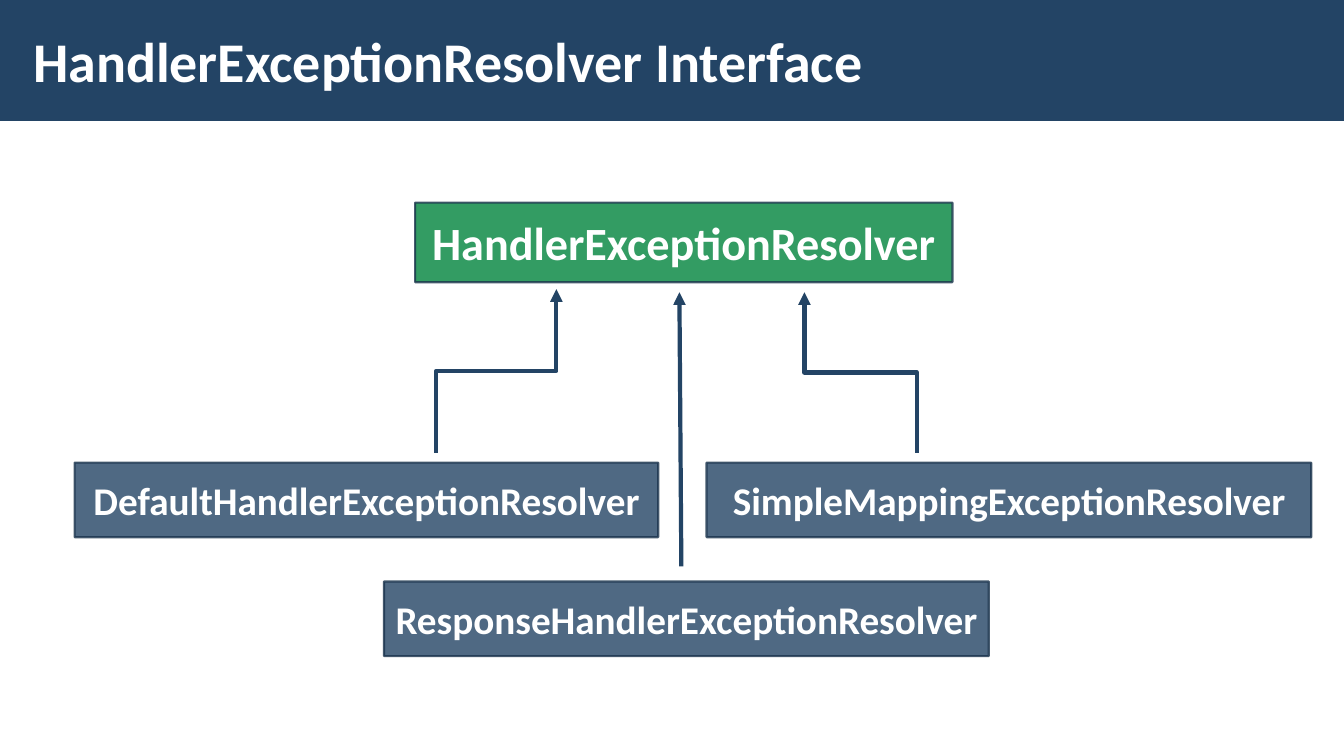
from lxml.etree import SubElement
from pptx import Presentation
from pptx.dml.color import RGBColor
from pptx.enum.shapes import MSO_CONNECTOR as Link, MSO_SHAPE as Shape
from pptx.enum.text import MSO_ANCHOR as Anchor, MSO_AUTO_SIZE as AutoSize, PP_ALIGN as Align
from pptx.oxml.ns import qn
from pptx.util import Pt

COLORS = {"navy": "234465", "green": "00843C", "border": "1A334C", "white": "FFFFFF"}


def paint(fill, color, opacity=100):
    fill.solid()
    fill.fore_color.rgb = RGBColor.from_string(COLORS[color])
    if opacity < 100:
        rgb = fill._xPr.find(qn("a:solidFill"))[0]
        SubElement(rgb, qn("a:alpha"), val=str(opacity * 1000))


def write(frame, text, size, align):
    frame.text = text
    for name, value in {"vertical_anchor": Anchor.MIDDLE, "auto_size": AutoSize.NONE,
                        "word_wrap": True}.items():
        setattr(frame, name, value)
    paragraph = frame.paragraphs[0]
    paragraph.alignment = align
    font = paragraph.runs[0].font
    for name, value in {"name": "Calibri", "size": Pt(size), "bold": True}.items():
        setattr(font, name, value)
    paint(font.fill, "white")


deck = Presentation()
deck.slide_width, deck.slide_height = Pt(960), Pt(540)
slide = deck.slides.add_slide(deck.slide_layouts[5])

heading = slide.shapes.title
for name, value in {"left": 15.1, "top": 7.9, "width": 765.4, "height": 69.8}.items():
    setattr(heading, name, Pt(value))
write(heading.text_frame, "HandlerExceptionResolver Interface", 40, Align.LEFT)
for name, value in {"margin_left": 8.6, "margin_right": 8.6,
                    "margin_top": 2.9, "margin_bottom": 2.9}.items():
    setattr(heading.text_frame, name, Pt(value))

banner = slide.shapes.add_shape(Shape.RECTANGLE, 0, 0, Pt(960), Pt(86.4))
banner.shadow.inherit = False
paint(banner.fill, "navy")
banner.line.fill.background()
heading._element.addprevious(banner._element)

resolvers = [
    ("HandlerExceptionResolver", 296.6, 144.7, 383.8, 56.9, "green", 33),
    ("DefaultHandlerExceptionResolver", 53.3, 330.5, 416.9, 53.3, "navy", 28),
    ("ResponseHandlerExceptionResolver", 274.3, 415.4, 432, 53.3, "navy", 28),
    ("SimpleMappingExceptionResolver", 504.7, 330.5, 432, 53.3, "navy", 28),
]
for label, left, top, width, height, color, size in resolvers:
    resolver = slide.shapes.add_shape(Shape.RECTANGLE, Pt(left), Pt(top), Pt(width), Pt(height))
    resolver.shadow.inherit = False
    paint(resolver.fill, color, 80)
    resolver.line.width = Pt(1.5)
    paint(resolver.line.fill, "border", 80)
    write(resolver.text_frame, label, size, Align.CENTER)

inheritance = [
    (Link.ELBOW, 311.6, 323.3, 397.4, 206.6, 90),
    (Link.ELBOW, 654.8, 323.3, 574.6, 208.8, 270),
    (Link.STRAIGHT, 486.7, 404.6, 485.3, 208.8, 0),
]
for kind, x1, y1, x2, y2, turn in inheritance:
    if turn:
        mid_x, mid_y = (x1 + x2) / 2, (y1 + y2) / 2
        reach = (y1 - y2) / 2 * (1 if turn == 90 else -1)
        rise = abs(x2 - x1) / 2
        x1, y1, x2, y2 = mid_x + reach, mid_y + rise, mid_x - reach, mid_y - rise
    arrow = slide.shapes.add_connector(kind, Pt(x1), Pt(y1), Pt(x2), Pt(y2))
    arrow.line.width = Pt(3)
    paint(arrow.line.fill, "navy")
    properties = arrow._element.spPr
    if turn:
        properties.find(qn("a:xfrm")).set("rot", str(turn * 60000))
    SubElement(properties.find(qn("a:ln")), qn("a:tailEnd"), type="triangle")
    SubElement(properties, qn("a:effectLst"))

deck.save("out.pptx")
